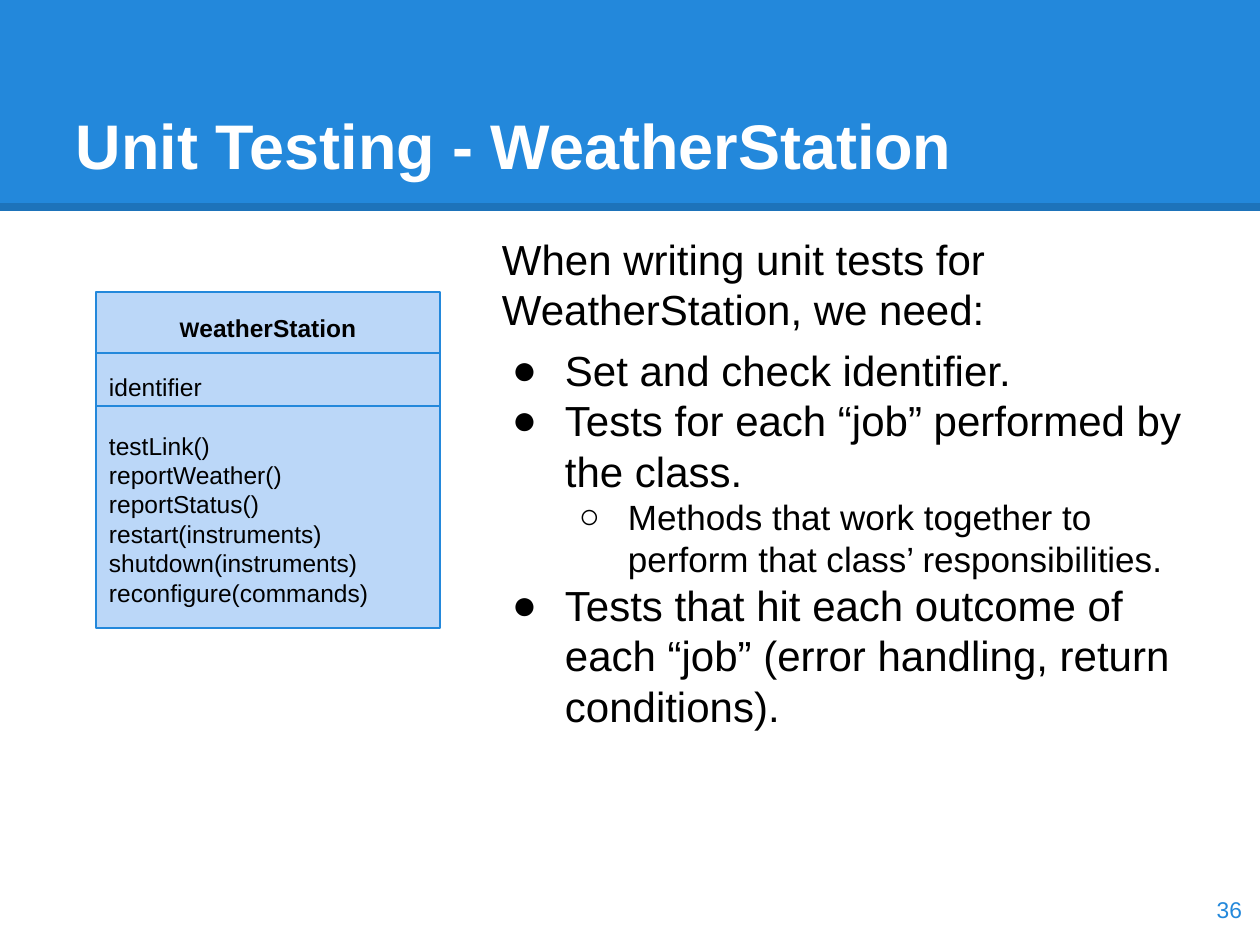
from dataclasses import dataclass

from lxml.etree import SubElement
from pptx import Presentation
from pptx.dml.color import RGBColor
from pptx.enum.shapes import MSO_CONNECTOR, MSO_SHAPE
from pptx.enum.text import MSO_ANCHOR, PP_ALIGN
from pptx.oxml.ns import qn
from pptx.util import Emu, Pt

PX = 914400 / 126
INSET = 13


@dataclass(frozen=True)
class Theme:
    font: str = "Arial"
    blue: str = "2388DB"
    pale_blue: str = "BBD7F8"
    black: str = "000000"
    white: str = "FFFFFF"
    title_size: int = 36
    body_size: int = 24
    sub_size: int = 20
    class_size: int = 14
    class_initial_size: int = 12
    number_size: int = 13
    rule_width: float = 4.5
    class_line_width: float = 1.5
    leading: float = 1.2


@dataclass(frozen=True)
class Box:
    left: int
    top: int
    width: int
    height: int

    def emu(self) -> tuple:
        return tuple(px(v) for v in (self.left, self.top, self.width, self.height))


@dataclass(frozen=True)
class Bullet:
    char: str
    indent: int
    hanging: int
    level: int = 0


@dataclass(frozen=True)
class Line:
    text: str
    size: int
    color: str = "000000"
    bold: bool = False
    align: PP_ALIGN = PP_ALIGN.LEFT
    space_before: float = 0
    bullet: Bullet | None = None


THEME = Theme()
DOT = Bullet("●", 63, 53)
CIRCLE = Bullet("○", 126, 49, level=1)


def px(value: int) -> Emu:
    return Emu(round(value * PX))


def rgb(value: str) -> RGBColor:
    return RGBColor.from_string(value)


def add_bullet(paragraph, bullet: Bullet) -> None:
    paragraph.level = bullet.level
    properties = paragraph._p.get_or_add_pPr()
    properties.set("marL", str(px(bullet.indent)))
    properties.set("indent", str(-px(bullet.hanging)))
    color = SubElement(properties, qn("a:buClr"))
    SubElement(color, qn("a:srgbClr"), val=THEME.black)
    SubElement(properties, qn("a:buFont"), typeface=THEME.font)
    SubElement(properties, qn("a:buChar"), char=bullet.char)


def write(frame, lines: list[Line], anchor: MSO_ANCHOR) -> None:
    frame.word_wrap = True
    frame.vertical_anchor = anchor
    frame.margin_left = frame.margin_right = px(INSET)
    frame.margin_top = frame.margin_bottom = px(INSET)
    frame.text = "\n".join(line.text for line in lines)
    for paragraph, line in zip(frame.paragraphs, lines):
        if line.bullet:
            add_bullet(paragraph, line.bullet)
        paragraph.alignment = line.align
        paragraph.line_spacing = Pt(line.size * THEME.leading)
        paragraph.space_before = Pt(line.space_before)
        for run in paragraph.runs:
            run.font.name = THEME.font
            run.font.size = Pt(line.size)
            run.font.bold = line.bold
            run.font.color.rgb = rgb(line.color)


def add_text(slide, box: Box, lines: list[Line], anchor=MSO_ANCHOR.TOP) -> None:
    write(slide.shapes.add_textbox(*box.emu()).text_frame, lines, anchor)


def add_rectangle(slide, box: Box, fill: str):
    rectangle = slide.shapes.add_shape(MSO_SHAPE.RECTANGLE, *box.emu())
    rectangle.shadow.inherit = False
    rectangle.fill.solid()
    rectangle.fill.fore_color.rgb = rgb(fill)
    rectangle.line.fill.background()
    return rectangle


def add_rule(slide, left: int, right: int, y: int, color: str, width: float):
    """Draw a horizontal line without a shadow."""
    rule = slide.shapes.add_connector(
        MSO_CONNECTOR.STRAIGHT, px(left), px(y), px(right), px(y))
    rule.line.color.rgb = rgb(color)
    rule.line.width = Pt(width)
    SubElement(rule._element.spPr, qn("a:effectLst"))
    return rule


def add_header(slide) -> None:
    add_rectangle(slide, Box(0, 0, 1260, 211), THEME.blue)
    rule = add_rule(slide, 0, 1260, 207, THEME.black, THEME.rule_width)
    color = next(rule._element.iter(qn("a:srgbClr")))
    SubElement(color, qn("a:alpha"), val="15000")
    add_text(slide, Box(63, 38, 1134, 157),
             [Line("Unit Testing - WeatherStation", THEME.title_size, THEME.white, bold=True)],
             MSO_ANCHOR.BOTTOM)


def add_class_diagram(slide, box: Box, dividers: list[int], name: str,
                      attributes: list[str], methods: list[str]) -> None:
    size = THEME.class_size
    lines = [Line(name, size, bold=True, align=PP_ALIGN.CENTER)]
    for members in (attributes, methods):
        for index, member in enumerate(members):
            gap = 0 if index else size * THEME.leading
            lines.append(Line(member, size, space_before=gap))

    outline = add_rectangle(slide, box, THEME.pale_blue)
    outline.line.color.rgb = rgb(THEME.blue)
    outline.line.width = Pt(THEME.class_line_width)
    write(outline.text_frame, lines, MSO_ANCHOR.MIDDLE)

    heading = outline.text_frame.paragraphs[0]
    initial = heading.runs[0]
    rest = heading.add_run()
    initial.text, rest.text = name[0], name[1:]
    rest.font.name = THEME.font
    rest.font.size = Pt(size)
    rest.font.bold = True
    rest.font.color.rgb = rgb(THEME.black)
    initial.font.size = Pt(THEME.class_initial_size)

    for y in dividers:
        add_rule(slide, box.left, box.left + box.width, y,
                 THEME.blue, THEME.class_line_width)


def main() -> None:
    presentation = Presentation()
    presentation.slide_width, presentation.slide_height = px(1260), px(945)
    slide = presentation.slides.add_slide(presentation.slide_layouts[6])

    add_header(slide)
    body = THEME.body_size
    add_text(slide, Box(489, 220, 708, 684), [
        Line("When writing unit tests for WeatherStation, we need:", body),
        Line("Set and check identifier.", body, space_before=6, bullet=DOT),
        Line("Tests for each “job” performed by the class.", body, bullet=DOT),
        Line("Methods that work together to perform that class’ responsibilities.",
             THEME.sub_size, bullet=CIRCLE),
        Line("Tests that hit each outcome of each “job” (error handling, return conditions).",
             body, bullet=DOT),
    ])
    add_class_diagram(
        slide, Box(96, 292, 344, 336), [353, 406], "WeatherStation", ["identifier"],
        ["testLink()", "reportWeather()", "reportStatus()", "restart(instruments)",
         "shutdown(instruments)", "reconfigure(commands)"])
    add_text(slide, Box(1179, 873, 76, 72),
             [Line("36", THEME.number_size, THEME.blue, align=PP_ALIGN.RIGHT)],
             MSO_ANCHOR.MIDDLE)

    presentation.save("out.pptx")


if __name__ == "__main__":
    main()
